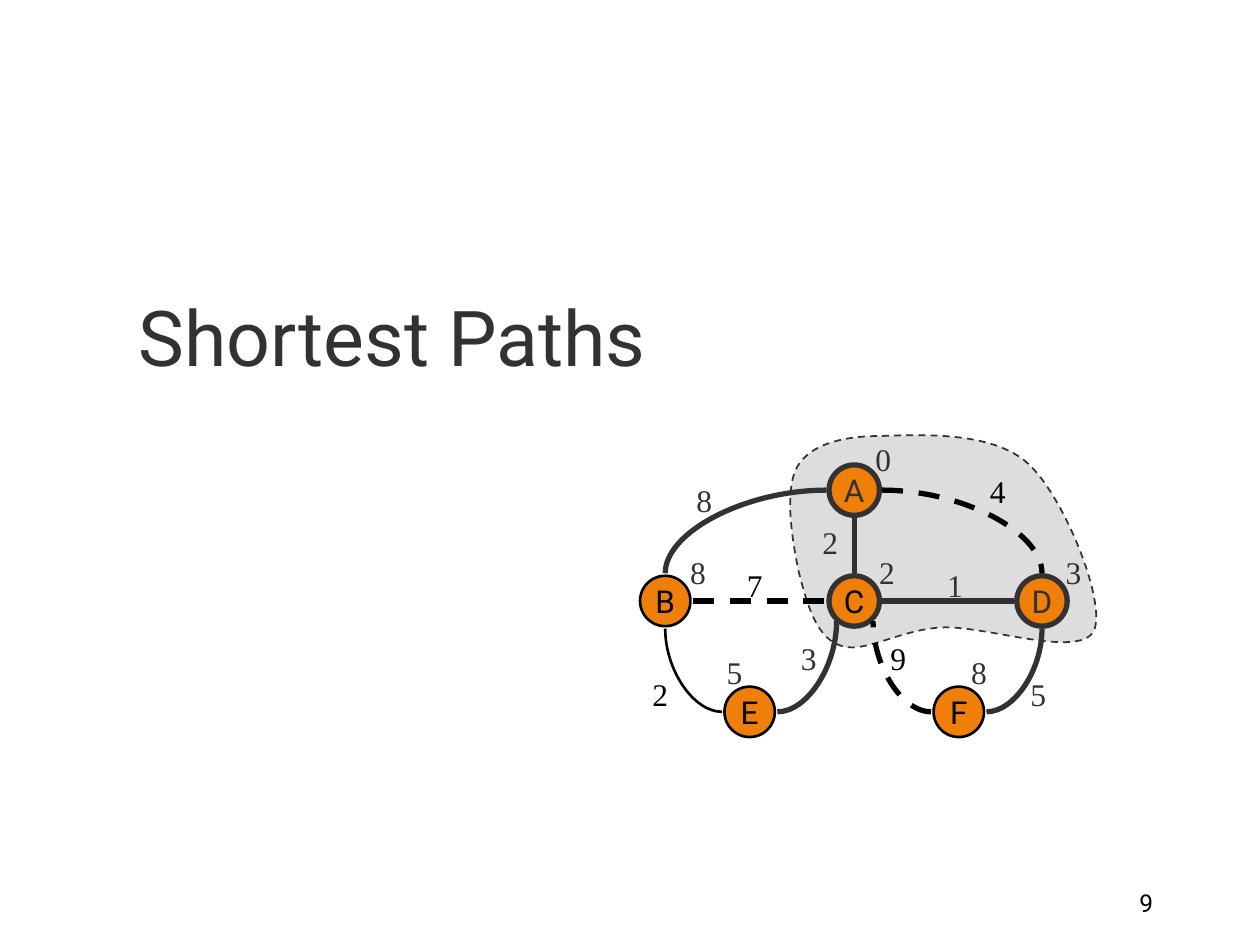
"""Build a slide showing a weighted graph with shortest-path distances."""
from typing import NamedTuple

from lxml import etree
from pptx import Presentation
from pptx import util as u
from pptx.dml.color import RGBColor
from pptx.enum import dml, shapes, text
from pptx.oxml.ns import qn

COLOURS = {"dark": "323232", "black": "000000", "node": "F07F09", "cloud": "DDDDDD"}
COLUMNS = {"B": 5.28, "E": 5.95, "C": 6.78, "F": 7.61, "D": 8.27}
ROW_TOP, ROW_STEP = 3.89, 0.88
DIAMETER = 0.4
LABEL_SIZE = (0.33, 0.4)
SIDES = {
    "W": (-0.22, 0), "E": (0.22, 0), "N": (0, -0.22), "S": (0, 0.22),
    "SW": (-0.14, 0.16), "SE": (0.15, 0.16),
}
CLOUD = [
    (7, 3.46),
    (7.3, 3.45), (7.88, 3.42), (8.16, 3.68),
    (8.44, 3.93), (8.79, 4.79), (8.68, 5.01),
    (8.56, 5.23), (7.81, 4.96), (7.47, 4.98),
    (7.13, 5), (6.84, 5.2), (6.66, 5.12),
    (6.47, 5.05), (6.4, 4.77), (6.34, 4.54),
    (6.29, 4.3), (6.22, 3.89), (6.33, 3.7),
    (6.44, 3.52), (6.7, 3.46), (7, 3.46),
]


class Node(NamedTuple):
    column: str
    row: int
    distance: str
    offset: tuple[float, float]
    ink: str = "black"
    outline: str = "black"
    weight: float = 1.5

    @property
    def centre(self) -> tuple[float, float]:
        return COLUMNS[self.column], ROW_TOP + self.row * ROW_STEP


class Edge(NamedTuple):
    begin: str
    begin_side: str
    end: str
    end_side: str
    label: str
    label_at: tuple[float, float]
    ink: str = "dark"
    weight: float = 3
    dashed: bool = False
    curved: bool = True


NODES = {
    "C": Node("C", 1, "2", (0.26, -0.23), "black", "dark", 3),
    "B": Node("B", 1, "8", (0.26, -0.23)),
    "A": Node("C", 0, "0", (0.23, -0.25), "dark", "dark", 3),
    "E": Node("E", 2, "5", (-0.12, -0.32)),
    "D": Node("D", 1, "3", (0.25, -0.23), "dark", "dark", 3),
    "F": Node("F", 2, "8", (0.16, -0.32)),
}
EDGES = [
    Edge("A", "W", "B", "N", "8", (5.59, 3.97)),
    Edge("E", "W", "B", "S", "2", (5.24, 5.51), "black", 1.5),
    Edge("E", "E", "C", "SW", "3", (6.42, 5.22)),
    Edge("A", "S", "C", "N", "2", (6.59, 4.3), curved=False),
    Edge("B", "E", "C", "W", "7", (5.99, 4.64), "black", dashed=True, curved=False),
    Edge("F", "E", "D", "S", "5", (8.24, 5.51)),
    Edge("A", "E", "D", "N", "4", (7.92, 3.9), "black", dashed=True),
    Edge("C", "E", "D", "W", "1", (7.58, 4.64), curved=False),
    Edge("F", "W", "C", "SE", "9", (7.13, 5.22), "black", dashed=True),
]


def colour(name: str) -> RGBColor:
    return RGBColor.from_string(COLOURS[name])


def inches(*lengths: float) -> list[int]:
    return [u.Inches(length) for length in lengths]


def shifted(point: tuple[float, float], offset: tuple[float, float]) -> tuple[float, float]:
    return point[0] + offset[0], point[1] + offset[1]


def write(shape, words: str, size: float, ink: str, font: str = "Roboto",
          align=text.PP_ALIGN.CENTER, anchor=text.MSO_ANCHOR.MIDDLE, wrap: bool = False) -> None:
    frame = shape.text_frame
    frame.text = words
    frame.word_wrap = wrap
    frame.auto_size = text.MSO_AUTO_SIZE.NONE
    frame.vertical_anchor = anchor
    para = frame.paragraphs[0]
    para.alignment = align
    para.font.size, para.font.name = u.Pt(size), font
    para.font.color.rgb = colour(ink)


def style_line(line, ink: str, weight: float, dashed: bool = False) -> None:
    line.color.rgb = colour(ink)
    line.width = u.Pt(weight)
    if dashed:
        line.dash_style = dml.MSO_LINE.DASH


def draw_cloud(page) -> None:
    points = [tuple(inches(*point)) for point in CLOUD]
    builder = page.shapes.build_freeform(*points[0])
    builder.add_line_segments(points[1:], close=True)
    cloud = builder.convert_to_shape()
    cloud.shadow.inherit = False
    cloud.fill.solid()
    cloud.fill.fore_color.rgb = colour("cloud")
    style_line(cloud.line, "dark", 1, dashed=True)
    segments = list(cloud.element.iter(qn("a:lnTo")))
    for start in range(0, len(segments) - 2, 3):
        curve = etree.Element(qn("a:cubicBezTo"))
        segments[start].addprevious(curve)
        for segment in segments[start:start + 3]:
            curve.append(segment[0])
            segment.getparent().remove(segment)


def draw_node(page, name: str, node: Node) -> None:
    left, top = shifted(node.centre, (-DIAMETER / 2, -DIAMETER / 2))
    circle = page.shapes.add_shape(
        shapes.MSO_SHAPE.OVAL, *inches(left, top, DIAMETER, DIAMETER))
    circle.shadow.inherit = False
    circle.fill.solid()
    circle.fill.fore_color.rgb = colour("node")
    style_line(circle.line, node.outline, node.weight)
    write(circle, name, 18, node.ink)


def draw_edge(page, edge: Edge) -> None:
    begin = shifted(NODES[edge.begin].centre, SIDES[edge.begin_side])
    end = shifted(NODES[edge.end].centre, SIDES[edge.end_side])
    kind = shapes.MSO_CONNECTOR.CURVE if edge.curved else shapes.MSO_CONNECTOR.STRAIGHT
    connector = page.shapes.add_connector(kind, *inches(*begin, *end))
    style_line(connector.line, edge.ink, edge.weight, edge.dashed)
    properties = connector.element.spPr
    if edge.curved:
        properties.find(qn("a:prstGeom")).set("prst", "curvedConnector2")
    etree.SubElement(properties, qn("a:effectLst"))


def draw_label(page, words: str, centre: tuple[float, float], ink: str) -> None:
    width, height = LABEL_SIZE
    left, top = shifted(centre, (-width / 2, -height / 2))
    box = page.shapes.add_textbox(*inches(left, top, width, height))
    write(box, words, 18, ink, "Times New Roman", anchor=text.MSO_ANCHOR.TOP)


def main() -> None:
    deck = Presentation()
    deck.slide_width, deck.slide_height = inches(10, 7.5)
    page = deck.slides.add_slide(deck.slide_layouts[0])
    subtitle = page.placeholders[1].element
    subtitle.getparent().remove(subtitle)

    number = page.shapes.add_textbox(*inches(7.17, 6.83, 2.08, 0.5))
    write(number, "9", 14, "black", align=text.PP_ALIGN.RIGHT,
          anchor=text.MSO_ANCHOR.BOTTOM, wrap=True)
    title = page.shapes.title
    title.left, title.top, title.width, title.height = inches(1, 1.83, 8.5, 1.25)
    write(title, "Shortest Paths", 44, "dark", align=text.PP_ALIGN.LEFT,
          anchor=text.MSO_ANCHOR.BOTTOM, wrap=True)

    draw_cloud(page)
    for name, node in NODES.items():
        draw_node(page, name, node)
    for edge in EDGES:
        draw_edge(page, edge)
    for node in NODES.values():
        draw_label(page, node.distance, shifted(node.centre, node.offset), "dark")
    for edge in EDGES:
        draw_label(page, edge.label, edge.label_at, edge.ink)
    deck.save("out.pptx")


if __name__ == "__main__":
    main()
